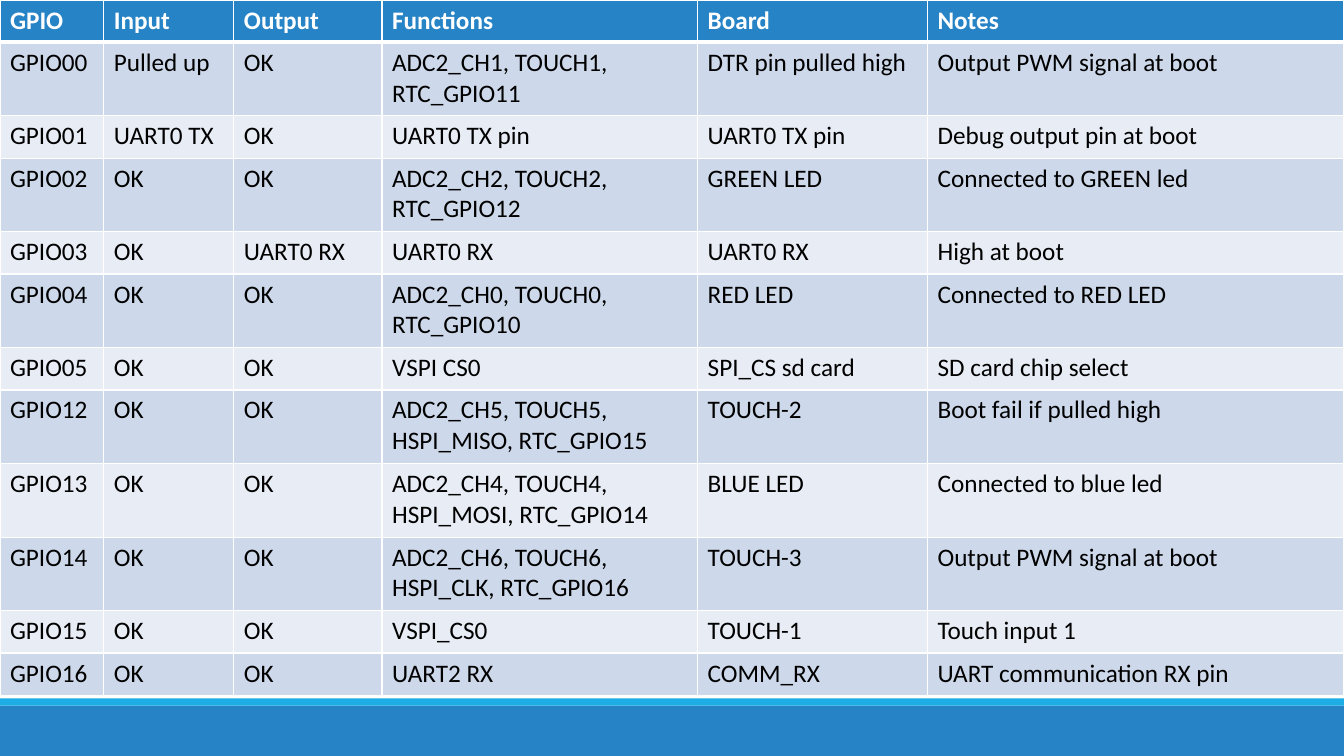
from typing import NamedTuple

from lxml import etree
from pptx import Presentation
from pptx.dml.color import RGBColor
from pptx.enum import shapes
from pptx.oxml import ns
from pptx.util import Inches, Length, Pt

COLORS = {
    "header": "2683C6",
    "accent": "1CADE4",
    "odd_row": "CDD9EA",
    "even_row": "E8EDF5",
    "border": "FFFFFF",
    "header_text": "FFFFFF",
    "body_text": "000000",
}
FONT = "Calibri"
SLIDE_WIDTH = Inches(13.33)
ONE_LINE, TWO_LINES = Inches(0.42), Inches(0.73)
WRAP_LENGTH = 25  # longer function lists take two lines


class Pin(NamedTuple):
    """One row of the pin table."""
    gpio: str
    input: str
    output: str
    functions: str
    board: str
    notes: str


class Band(NamedTuple):
    """A full-width footer strip."""
    top: Length
    height: Length
    color: str


HEADINGS = Pin("GPIO", "Input", "Output", "Functions", "Board", "Notes")
WIDTHS = Pin(1.03, 1.29, 1.47, 3.13, 2.28, 4.13)
PINS = [
    Pin("GPIO00", "Pulled up", "OK", "ADC2_CH1, TOUCH1, RTC_GPIO11",
        "DTR pin pulled high", "Output PWM signal at boot"),
    Pin("GPIO01", "UART0 TX", "OK", "UART0 TX pin", "UART0 TX pin", "Debug output pin at boot"),
    Pin("GPIO02", "OK", "OK", "ADC2_CH2, TOUCH2, RTC_GPIO12",
        "GREEN LED", "Connected to GREEN led"),
    Pin("GPIO03", "OK", "UART0 RX", "UART0 RX", "UART0 RX", "High at boot"),
    Pin("GPIO04", "OK", "OK", "ADC2_CH0, TOUCH0, RTC_GPIO10",
        "RED LED", "Connected to RED LED"),
    Pin("GPIO05", "OK", "OK", "VSPI CS0", "SPI_CS sd card", "SD card chip select"),
    Pin("GPIO12", "OK", "OK", "ADC2_CH5, TOUCH5, HSPI_MISO, RTC_GPIO15",
        "TOUCH-2", "Boot fail if pulled high"),
    Pin("GPIO13", "OK", "OK", "ADC2_CH4, TOUCH4, HSPI_MOSI, RTC_GPIO14",
        "BLUE LED", "Connected to blue led"),
    Pin("GPIO14", "OK", "OK", "ADC2_CH6, TOUCH6, HSPI_CLK, RTC_GPIO16",
        "TOUCH-3", "Output PWM signal at boot"),
    Pin("GPIO15", "OK", "OK", "VSPI_CS0", "TOUCH-1", "Touch input 1"),
    Pin("GPIO16", "OK", "OK", "UART2 RX", "COMM_RX", "UART communication RX pin"),
]
BANDS = [
    Band(Inches(7), Inches(0.5), "header"),
    Band(Inches(6.93), Inches(0.07), "accent"),
]


def rgb(name: str) -> RGBColor:
    """Look up a palette colour."""
    return RGBColor.from_string(COLORS[name])


def draw_band(slide, band: Band) -> None:
    """Draw one footer strip."""
    strip = slide.shapes.add_shape(
        shapes.MSO_SHAPE.RECTANGLE, 0, band.top, SLIDE_WIDTH, band.height)
    strip.shadow.inherit = False
    strip.fill.solid()
    strip.fill.fore_color.rgb = rgb(band.color)
    strip.line.fill.background()


def add_borders(cell, top: int = 1, bottom: int = 1) -> None:
    """Outline a cell, with widths in points; call before filling it."""
    properties = cell._tc.get_or_add_tcPr()
    for side, width in (("L", 1), ("R", 1), ("T", top), ("B", bottom)):
        edge = etree.SubElement(properties, ns.qn(f"a:ln{side}"), w=str(Pt(width)))
        fill = etree.SubElement(edge, ns.qn("a:solidFill"))
        etree.SubElement(fill, ns.qn("a:srgbClr"), val=COLORS["border"])


def write_cell(cell, wording: str, row: int) -> None:
    """Fill, outline and write one cell according to its row."""
    is_header = row == 0
    add_borders(cell, top=3 if row == 1 else 1, bottom=3 if is_header else 1)
    cell.fill.solid()
    cell.fill.fore_color.rgb = rgb(
        "header" if is_header else "odd_row" if row % 2 else "even_row")
    cell.text_frame.text = wording
    font = cell.text_frame.paragraphs[0].runs[0].font
    font.name, font.size, font.bold = FONT, Pt(18), is_header
    font.color.rgb = rgb("header_text" if is_header else "body_text")


def draw_pin_table(slide) -> None:
    """Draw the headings and all pins."""
    entries = [HEADINGS, *PINS]
    heights = [TWO_LINES if len(entry.functions) > WRAP_LENGTH else ONE_LINE
               for entry in entries]
    pin_table = slide.shapes.add_table(
        len(entries), len(HEADINGS), 0, 0, SLIDE_WIDTH, sum(heights)).table
    for column, width in zip(pin_table.columns, WIDTHS):
        column.width = Inches(width)
    for row, (entry, height) in enumerate(zip(entries, heights)):
        pin_table.rows[row].height = height
        for column, wording in enumerate(entry):
            write_cell(pin_table.cell(row, column), wording, row)


deck = Presentation()
deck.slide_width, deck.slide_height = SLIDE_WIDTH, Inches(7.5)
pinout = deck.slides.add_slide(deck.slide_layouts[6])
for footer_band in BANDS:
    draw_band(pinout, footer_band)
draw_pin_table(pinout)
deck.save("out.pptx")
